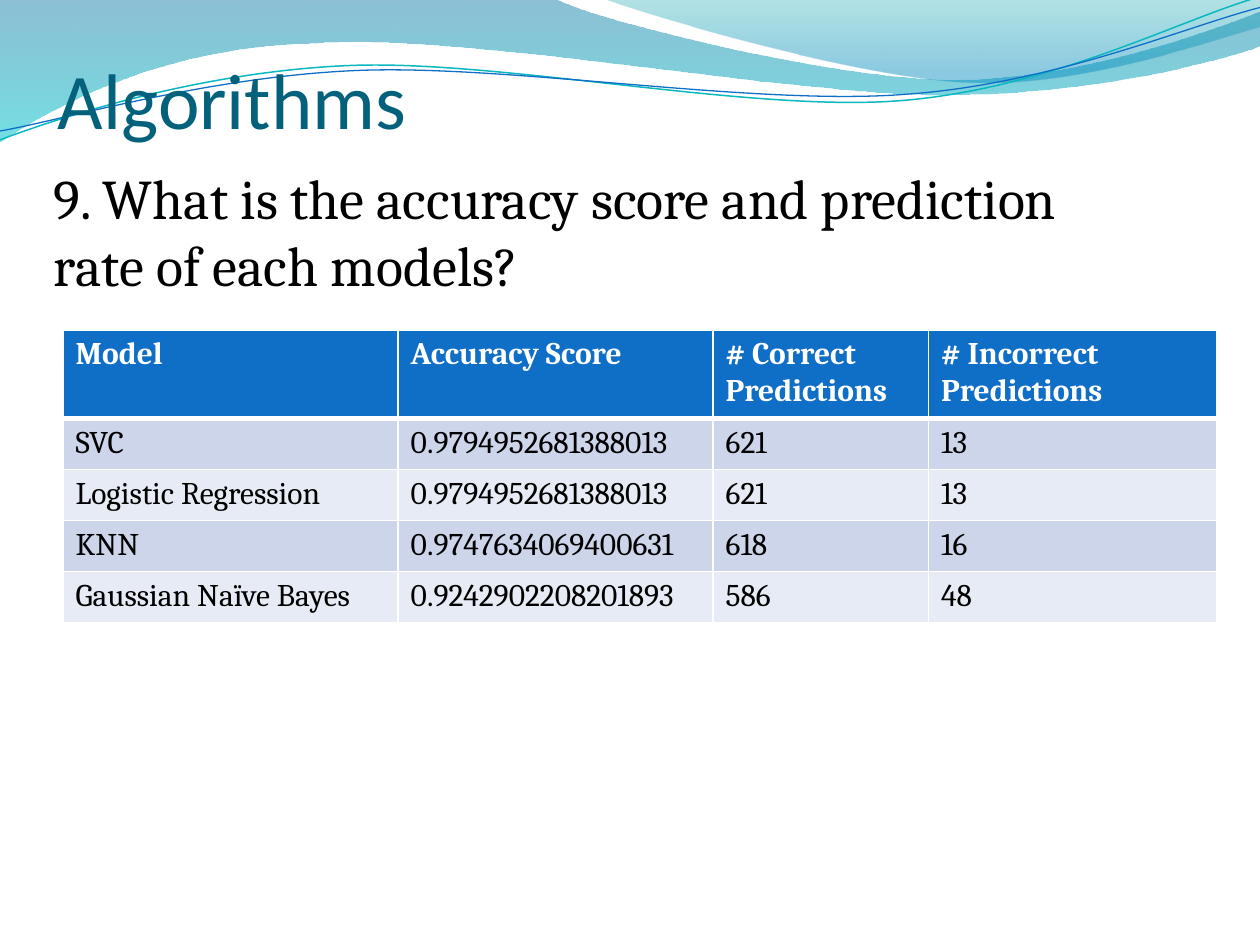
"""Build the model accuracy slide on a grid of ten columns by seven and a half rows."""
from dataclasses import dataclass
from math import cos, radians, sin
from typing import NamedTuple

from lxml import etree
from pptx import Presentation
from pptx.dml.color import RGBColor
from pptx.enum.text import MSO_ANCHOR
from pptx.oxml.ns import qn
from pptx.util import Inches, Pt

BOTTOM, TOP = MSO_ANCHOR.BOTTOM, MSO_ANCHOR.TOP
COLUMNS, ROWS, CELL = 10, 7.5, Inches(1)
BLACK = RGBColor(0x00, 0x00, 0x00)
WHITE = RGBColor(0xFF, 0xFF, 0xFF)
TITLE_TEAL = RGBColor(0x04, 0x61, 0x7B)
HEADER_BLUE = RGBColor(0x0F, 0x6F, 0xC6)
LINE_TEAL = RGBColor(0x0A, 0xB8, 0xBF)
BAND_DARK = RGBColor(0xCC, 0xD5, 0xEA)
BAND_LIGHT = RGBColor(0xE7, 0xEB, 0xF5)
DEEP_BLUE = RGBColor(0x00, 0x74, 0xA1)
CYAN = RGBColor(0x00, 0xC6, 0xCF)
DEEP_TEAL = RGBColor(0x00, 0xA1, 0xA9)
SKY_BLUE = RGBColor(0x00, 0x8B, 0xBF)


class Stop(NamedTuple):
    position: float
    color: RGBColor
    opacity: int


class Stroke(NamedTuple):
    color: RGBColor
    points: float


@dataclass(frozen=True)
class Wave:
    start: tuple
    segments: tuple
    stops: tuple = ()
    stroke: Stroke | None = None
    center: tuple = (0, 0)
    tilt: float = 0


@dataclass(frozen=True)
class Label:
    text: str
    frame: tuple
    font: dict
    layout: dict


WAVES = (
    Wave((0, 0), (
        (4.4, -0.01),
        (4.76, 0.17, 6.64, 0.63, 7.58, 0.63),
        (8.53, 0.63, 9.58, 0.26, 10, 0.09),
        (10.01, 0.36),
        (9.83, 0.44, 8.7, 0.76, 7.46, 0.75),
        (6.22, 0.75, 3.82, 0.28, 2.57, 0.34),
        (1.29, 0.36, 0.46, 0.83, -0.01, 1.13),
        (0, 0),
    ), stops=(Stop(0, DEEP_BLUE, 45), Stop(1, CYAN, 55))),
    Wave((4.79, -0.01), (
        (5.09, 0.11, 6.82, 0.62, 7.69, 0.65),
        (8.56, 0.69, 9.61, 0.32, 10, 0.21),
        (10, 0),
        (4.79, -0.01),
    ), stops=(Stop(0, DEEP_TEAL, 30), Stop(0.8, SKY_BLUE, 45))),
    Wave((0, 1.11), (
        (0.48, 0.93, 1.58, 0.57, 2.77, 0.52),
        (3.95, 0.47, 5.93, 0.89, 7.13, 0.8),
        (8.33, 0.71, 9.38, 0.15, 9.98, -0.02),
    ), stroke=Stroke(LINE_TEAL, 0.85), center=(4.99, 0.57), tilt=-2.7),
    Wave((0, 1.04), (
        (0.47, 0.96, 1.64, 0.61, 2.83, 0.56),
        (4.03, 0.51, 5.97, 0.84, 7.17, 0.75),
        (8.36, 0.67, 9.41, 0.21, 10, 0.06),
    ), stroke=Stroke(HEADER_BLUE, 0.75), center=(5, 0.59), tilt=-2.7),
)

LABELS = (
    Label("Algorithms", (0.46, 0.34, 9, 0.81),
          {"name": "Calibri", "size": Pt(45), "color": TITLE_TEAL},
          {"vertical_anchor": BOTTOM, "margin_left": 0, "margin_right": 0, "margin_bottom": 0}),
    Label("9. What is the accuracy score and prediction rate of each models?",
          (0.33, 1.25, 8.87, 1.18),
          {"name": "Cambria", "size": Pt(32), "color": BLACK},
          {"vertical_anchor": TOP}),
)

RESULTS = (
    ("Model", "Accuracy Score", "# Correct Predictions", "# Incorrect Predictions"),
    ("SVC", "0.9794952681388013", "621", "13"),
    ("Logistic Regression", "0.9794952681388013", "621", "13"),
    ("KNN", "0.9747634069400631", "618", "16"),
    ("Gaussian Naïve Bayes", "0.9242902208201893", "586", "48"),
)
TABLE_ORIGIN = (0.5, 2.62)
COLUMN_WIDTHS = (2.66, 2.5, 1.71, 2.29)
TABLE_HEIGHT, HEADER_HEIGHT = 2.32, 0.7
ROW_HEIGHT = (TABLE_HEIGHT - HEADER_HEIGHT) / (len(RESULTS) - 1)


def grid(*lengths: float) -> list[int]:
    """Turn grid lengths into slide units."""
    return [round(length * CELL) for length in lengths]


def level(wave: Wave, point: tuple) -> list[int]:
    """Place a point as it lies before the wave is tilted."""
    angle = radians(-wave.tilt)
    across, down = (value - middle for value, middle in zip(point, wave.center))
    return grid(wave.center[0] + across * cos(angle) - down * sin(angle),
                wave.center[1] + across * sin(angle) + down * cos(angle))


def bend(shape, segments: tuple) -> None:
    """Join the three lines of each curved segment into one cubic curve."""
    lines = iter(list(shape.element.spPr.iter(qn("a:lnTo"))))
    for segment in segments:
        parts = [next(lines) for _ in range(len(segment) // 2)]
        if len(parts) == 1:
            continue
        curve = etree.Element(qn("a:cubicBezTo"))
        parts[0].addprevious(curve)
        for part in parts:
            curve.append(part[0])
            part.getparent().remove(part)


def draw_wave(page, wave: Wave) -> None:
    """Draw a gradient band or a thin open line."""
    points = [level(wave, segment[i:i + 2])
              for segment in wave.segments for i in range(0, len(segment), 2)]
    builder = page.shapes.build_freeform(*level(wave, wave.start))
    builder.add_line_segments(points, close=bool(wave.stops))
    shape = builder.convert_to_shape()
    bend(shape, wave.segments)
    shape.rotation = wave.tilt
    shape.shadow.inherit = False
    if wave.stroke:
        shape.fill.background()
        shape.line.color.rgb = wave.stroke.color
        shape.line.width = Pt(wave.stroke.points)
        return
    shape.line.fill.background()
    shape.fill.gradient()
    shape.fill.gradient_angle = 270
    for target, stop in zip(shape.fill.gradient_stops, wave.stops):
        target.position = stop.position
        target.color.rgb = stop.color
    for color, stop in zip(shape.element.spPr.iter(qn("a:srgbClr")), wave.stops):
        etree.SubElement(color, qn("a:alpha"), val=str(stop.opacity * 1000))


def write(frame, text: str, font: dict) -> None:
    """Put one formatted span in a text frame."""
    span = frame.paragraphs[0].add_run()
    span.text = text
    for name, value in font.items():
        if name == "color":
            span.font.color.rgb = value
        else:
            setattr(span.font, name, value)


def draw_label(page, label: Label) -> None:
    """Draw a wrapped text box."""
    box = page.shapes.add_textbox(*grid(*label.frame))
    for name, value in {"word_wrap": True, **label.layout}.items():
        setattr(box.text_frame, name, value)
    write(box.text_frame, label.text, label.font)


def draw_borders(cell, widths: dict) -> None:
    """Give a table cell white borders of the given point widths."""
    properties = cell._tc.get_or_add_tcPr()
    for side, width in widths.items():
        line = etree.SubElement(properties, qn(f"a:ln{side}"), w=str(Pt(width)))
        fill = etree.SubElement(line, qn("a:solidFill"))
        etree.SubElement(fill, qn("a:srgbClr"), val=str(WHITE))


def draw_table(page) -> None:
    """Draw the banded table of model results."""
    heights = (HEADER_HEIGHT,) + (ROW_HEIGHT,) * (len(RESULTS) - 1)
    size = grid(*TABLE_ORIGIN, sum(COLUMN_WIDTHS), TABLE_HEIGHT)
    table = page.shapes.add_table(len(RESULTS), len(COLUMN_WIDTHS), *size).table
    for column, width in zip(table.columns, grid(*COLUMN_WIDTHS)):
        column.width = width
    for index, (row, height, texts) in enumerate(zip(table.rows, grid(*heights), RESULTS)):
        row.height = height
        header = index == 0
        band = HEADER_BLUE if header else BAND_DARK if index % 2 else BAND_LIGHT
        font = {"name": "Cambria", "size": Pt(18), "bold": header,
                "color": WHITE if header else BLACK}
        borders = {"L": 1, "R": 1, "T": 3 if index == 1 else 1, "B": 3 if header else 1}
        for cell, text in zip(row.cells, texts):
            draw_borders(cell, borders)
            cell.fill.solid()
            cell.fill.fore_color.rgb = band
            write(cell.text_frame, text, font)


def main() -> None:
    """Build and save the deck."""
    deck = Presentation()
    deck.slide_width, deck.slide_height = grid(COLUMNS, ROWS)
    page = deck.slides.add_slide(deck.slide_layouts[6])
    for wave in WAVES:
        draw_wave(page, wave)
    for label in LABELS:
        draw_label(page, label)
    draw_table(page)
    deck.save("out.pptx")


if __name__ == "__main__":
    main()
